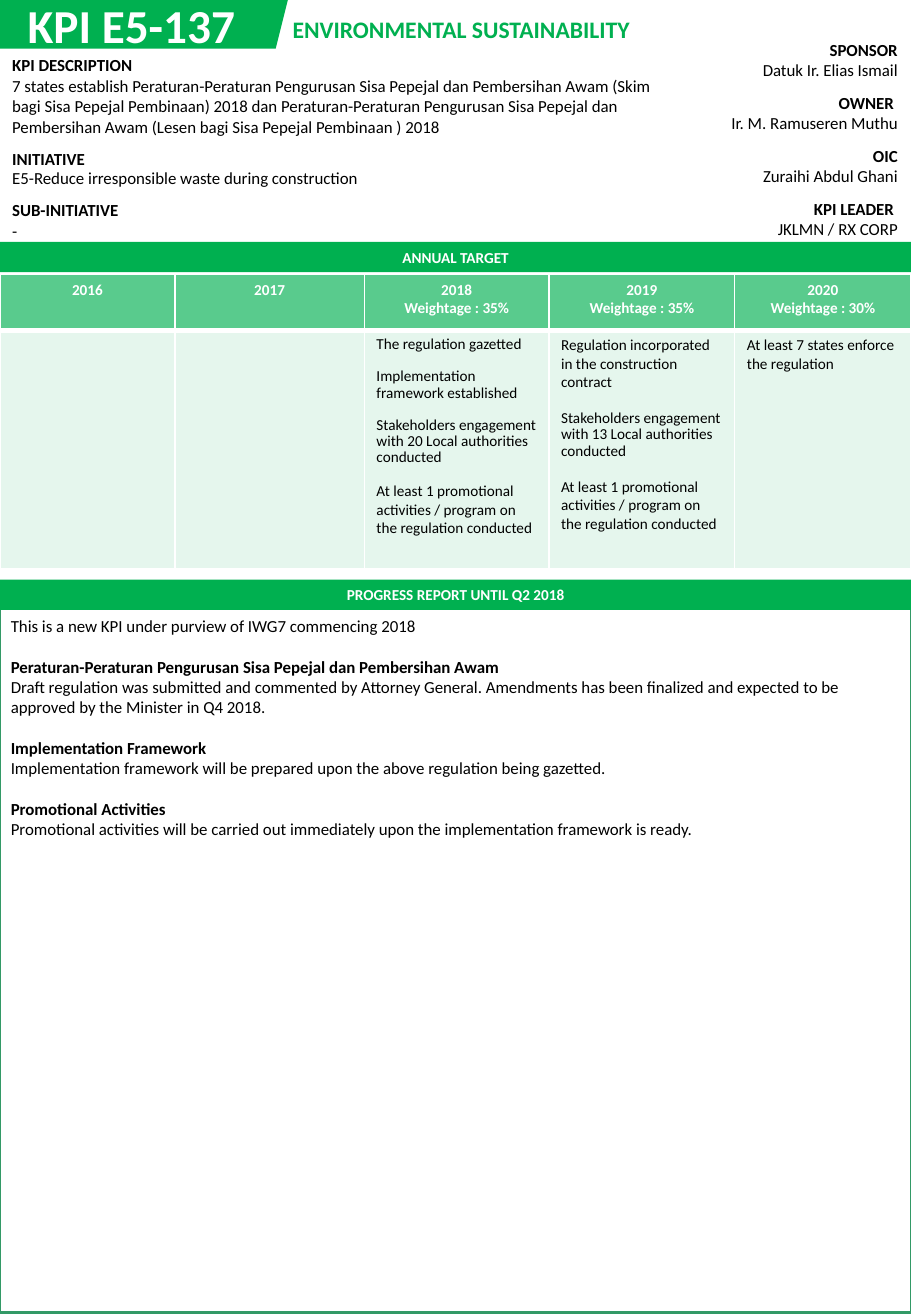
from lxml.etree import SubElement
from pptx import Presentation
from pptx.dml.color import RGBColor
from pptx.enum.shapes import MSO_SHAPE as Shape
from pptx.enum.text import MSO_ANCHOR as Anchor, PP_ALIGN as Align
from pptx.oxml import parse_xml
from pptx.oxml.ns import nsdecls, qn
from pptx.util import Inches, Pt

COLOURS = {"green": "00B050", "frame": "339966", "white": "FFFFFF", "black": "000000"}
PAGE_WIDTH, PAGE_HEIGHT = 7.5, 10.83
TIGHT = {"line_spacing": 0.88}
TIGHT_GAP = {"line_spacing": 0.88, "space_before": Pt(9.5)}
GAP = {"space_before": Pt(11)}
SECTION_GAP = {"space_before": Pt(12)}
BOLD = {"bold": True}

DETAILS = [
    [("KPI DESCRIPTION", BOLD),
     ("7 states establish Peraturan-Peraturan Pengurusan Sisa Pepejal dan Pembersihan Awam "
      "(Skim bagi Sisa Pepejal Pembinaan) 2018 dan Peraturan-Peraturan Pengurusan Sisa Pepejal "
      "dan Pembersihan Awam (Lesen bagi Sisa Pepejal Pembinaan ) 2018", {})],
    [("INITIATIVE", BOLD), ("E5-Reduce irresponsible waste during construction", {}, TIGHT)],
    [("SUB-INITIATIVE", BOLD), ("-", {})],
]
PEOPLE = [
    [("SPONSOR", BOLD), ("Datuk Ir. Elias Ismail", {})],
    [("OWNER ", BOLD), ("Ir. M. Ramuseren Muthu", {})],
    [("OIC", BOLD), ("Zuraihi Abdul Ghani", {})],
    [("KPI LEADER ", BOLD), ("JKLMN / RX CORP", {})],
]
PROMOTION = "At least 1 promotional activities / program on the regulation conducted"
ENGAGEMENT = "Stakeholders engagement with {} Local authorities conducted"
TARGETS = [
    ("2016", None, 1.44, []),
    ("2017", None, 1.56, []),
    ("2018", 35, 1.52, [
        ("The regulation gazetted", {}, TIGHT),
        ("Implementation framework established", {}, TIGHT_GAP),
        (ENGAGEMENT.format(20), {}, TIGHT_GAP),
        (PROMOTION, {}, {"space_before": Pt(9.5)})]),
    ("2019", 35, 1.53, [
        ("Regulation incorporated in the construction contract", {}),
        (ENGAGEMENT.format(13), {}, {**TIGHT, **GAP}),
        (PROMOTION, {}, GAP)]),
    ("2020", 30, 1.45, [("At least 7 states enforce the regulation", {})]),
]
PROGRESS = [
    ("This is a new KPI under purview of IWG7 commencing 2018", {}),
    ("Peraturan-Peraturan Pengurusan Sisa Pepejal dan Pembersihan Awam", BOLD, SECTION_GAP),
    ("Draft regulation was submitted and commented by Attorney General. Amendments has been "
     "finalized and expected to be approved by the Minister in Q4 2018.", {}),
    ("Implementation Framework", BOLD, SECTION_GAP),
    ("Implementation framework will be prepared upon the above regulation being gazetted.", {}),
    ("Promotional Activities", BOLD, SECTION_GAP),
    ("Promotional activities will be carried out immediately upon the implementation "
     "framework is ready.", {}),
]


def colour(name):
    """Return the named colour."""
    return RGBColor.from_string(COLOURS[name])


def apply_format(target, values):
    """Set every attribute in values on target."""
    for name, value in values.items():
        setattr(target, name, value)


def write(frame, lines, size, ink="black", align=Align.LEFT):
    """Write lines of text, font format and optional paragraph format."""
    for index, (text, font, *layout) in enumerate(lines):
        para = frame.paragraphs[0] if index == 0 else frame.add_paragraph()
        apply_format(para, {"alignment": align, **(layout[0] if layout else {})})
        span = para.add_run()
        span.text = text
        apply_format(span.font, {"name": "Calibri", "size": Pt(size), "bold": False, **font})
        span.font.color.rgb = colour(ink)


def add_text(page, place, lines, size, ink="black", wrap=True):
    """Add a text box."""
    box = page.shapes.add_textbox(*map(Inches, place))
    box.text_frame.word_wrap = wrap
    write(box.text_frame, lines, size, ink)


def add_block(page, kind, place, fill=None, line=None):
    """Add a flat shape with an optional fill and outline."""
    block = page.shapes.add_shape(kind, *map(Inches, place))
    block.shadow.inherit = False
    if fill:
        block.fill.solid()
        block.fill.fore_color.rgb = colour(fill)
    else:
        block.fill.background()
    if line:
        block.line.color.rgb = colour(line)
        block.line.width = Pt(1.5)
    else:
        block.line.fill.background()
    return block


def add_band(page, top, title):
    """Add a full-width section heading."""
    band = add_block(page, Shape.RECTANGLE, (0, top, PAGE_WIDTH, 0.25), "green")
    band.text_frame.vertical_anchor = Anchor.MIDDLE
    write(band.text_frame, [(title, BOLD)], 9, "white", Align.CENTER)


def add_grid(page, left, top, widths, heights):
    """Add a plain table with the given column widths and row heights."""
    place = map(Inches, (left, top, sum(widths), sum(heights)))
    grid = page.shapes.add_table(len(heights), len(widths), *place).table
    apply_format(grid, {"first_row": False, "horz_banding": False})
    for column, width in zip(grid.columns, widths):
        column.width = Inches(width)
    for row, height in zip(grid.rows, heights):
        row.height = Inches(height)
    return grid


def add_list(page, left, top, width, heights, entries, align):
    """Add a one-column table of labelled entries without fill."""
    grid = add_grid(page, left, top, [width], heights)
    for index, lines in enumerate(entries):
        cell = grid.cell(index, 0)
        cell.fill.background()
        write(cell.text_frame, lines, 10, align=align)


def style_cell(cell, opacity, top_line, bottom_line):
    """Give a cell a translucent green fill and white borders."""
    cell.fill.solid()
    cell.fill.fore_color.rgb = colour("green")
    properties = cell._tc.get_or_add_tcPr()
    tint = properties.find(".//" + qn("a:srgbClr"))
    SubElement(tint, qn("a:alpha"), val=str(opacity * 1000))
    borders = {"lnL": 1, "lnR": 1, "lnT": top_line, "lnB": bottom_line}
    for index, (side, width) in enumerate(borders.items()):
        properties.insert(index, parse_xml(
            f'<a:{side} {nsdecls("a")} w="{Pt(width)}"><a:solidFill>'
            f'<a:srgbClr val="{COLOURS["white"]}"/></a:solidFill></a:{side}>'))


def add_targets(page):
    """Add the table of annual targets."""
    grid = add_grid(page, 0, 2.26, [target[2] for target in TARGETS], [0.46, 1.96])
    for column, (year, weight, _, goals) in enumerate(TARGETS):
        heading, body = grid.cell(0, column), grid.cell(1, column)
        lines = [(year, BOLD)]
        if weight:
            lines.append((f"Weightage : {weight}%", BOLD))
        write(heading.text_frame, lines, 9, "white", Align.CENTER)
        write(body.text_frame, goals, 9)
        style_cell(heading, 65, 1, 3)
        style_cell(body, 10, 3, 1)


def main():
    """Build the KPI report page."""
    deck = Presentation()
    apply_format(deck, {"slide_width": Inches(PAGE_WIDTH), "slide_height": Inches(PAGE_HEIGHT)})
    page = deck.slides.add_slide(deck.slide_layouts[6])
    add_block(page, Shape.PARALLELOGRAM, (-0.17, 0, 2.54, 0.4), "green")
    add_targets(page)
    add_block(page, Shape.RECTANGLE, (0, 4.97, PAGE_WIDTH, 5.83), line="frame")
    add_list(page, 5.05, 0.28, 2.44, [0.43] * 4, PEOPLE, Align.RIGHT)
    add_list(page, 0, 0.41, 5.57, [0.77, 0.41, 0.43], DETAILS, Align.LEFT)
    add_text(page, (-0.01, 5.02, 7.51, 1.95), PROGRESS, 10)
    add_text(page, (2.31, 0.07, 3.08, 0.34), [("ENVIRONMENTAL SUSTAINABILITY", BOLD)],
             14, "green", wrap=False)
    add_text(page, (0.13, -0.08, 2.24, 0.57), [("KPI E5-137", BOLD)], 28, "white")
    add_band(page, 4.77, "PROGRESS REPORT UNTIL Q2 2018")
    add_band(page, 1.99, "ANNUAL TARGET")
    deck.save("out.pptx")


main()
